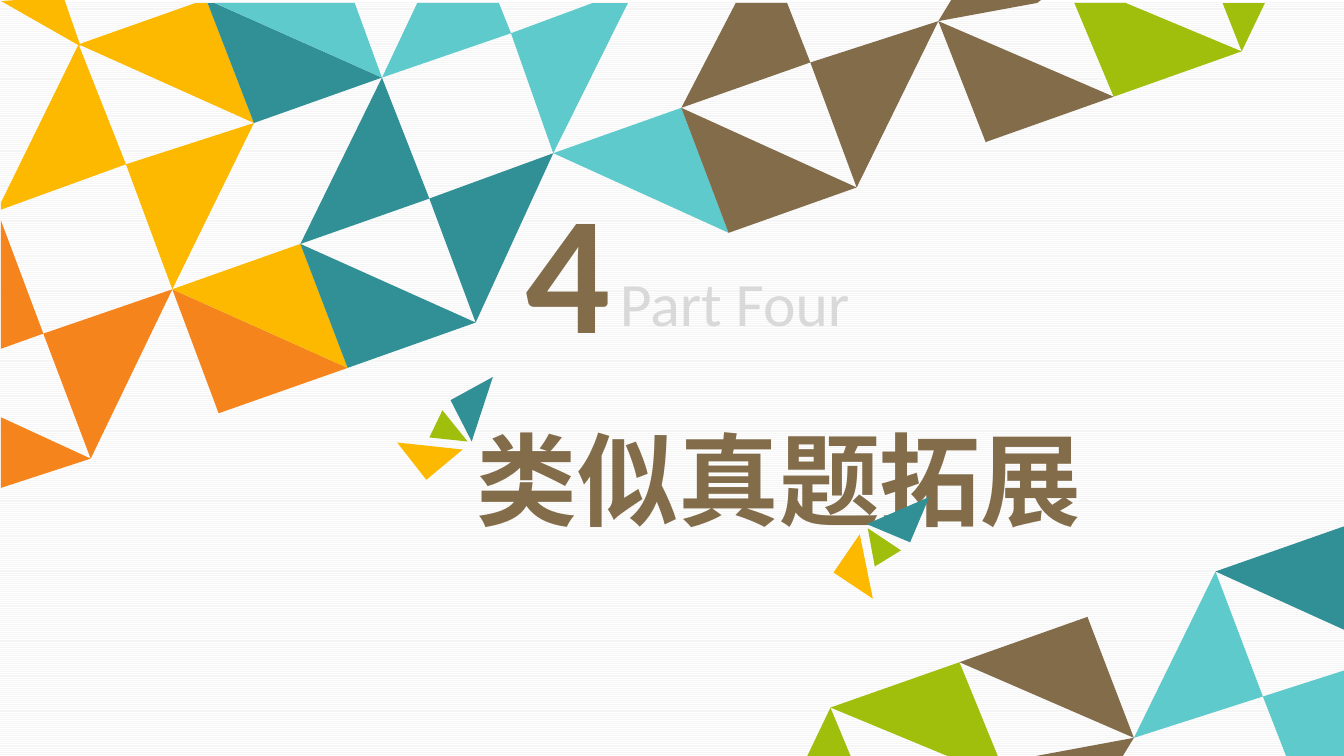
import pptx
import pptx.dml.color
import pptx.enum.dml
import pptx.enum.text
import pptx.util
from lxml import etree
from pptx.util import Cm

RGBColor = pptx.dml.color.RGBColor
ORANGE = RGBColor(0xF5, 0x84, 0x1C)
YELLOW = RGBColor(0xFD, 0xB9, 0x00)
TEAL = RGBColor(0x31, 0x90, 0x95)
AQUA = RGBColor(0x5F, 0xCA, 0xCB)
BROWN = RGBColor(0x82, 0x6C, 0x4A)
GREEN = RGBColor(0xA0, 0xBF, 0x0D)
PALE_GREY = RGBColor(0xD9, 0xD9, 0xD9)
STRIPE = RGBColor(0xF5, 0xF5, 0xF5)
WHITE = RGBColor(0xFF, 0xFF, 0xFF)

# Facet corners are whole steps of this grid
GRID_STEP = Cm(0.0254)

UPPER_MOSAIC = [
    (ORANGE, [(90, 455), (171, 287), (43, 331)]),
    (ORANGE, [(1, 414), (1, 484), (90, 455)]),
    (ORANGE, [(171, 287), (217, 410), (345, 365)]),
    (ORANGE, [(1, 346), (43, 331), (1, 219)]),
    (YELLOW, [(194, 3), (78, 44), (252, 122), (206, 3)]),
    (YELLOW, [(1, 201), (1, 208), (125, 163), (78, 44)]),
    (YELLOW, [(298, 242), (171, 287), (345, 365)]),
    (YELLOW, [(125, 163), (171, 287), (252, 122)]),
    (TEAL, [(472, 320), (549, 152), (426, 197)]),
    (TEAL, [(379, 77), (298, 242), (426, 197)]),
    (TEAL, [(206, 3), (252, 122), (379, 77), (213, 3)]),
    (TEAL, [(345, 365), (472, 320), (298, 242)]),
    (AQUA, [(213, 3), (379, 77), (352, 3)]),
    (AQUA, [(414, 3), (379, 77), (507, 33), (495, 3)]),
    (AQUA, [(588, 3), (507, 33), (549, 152), (623, 3)]),
    (AQUA, [(549, 152), (723, 231), (676, 107)]),
    (BROWN, [(723, 231), (850, 186), (676, 107)]),
    (BROWN, [(978, 141), (1105, 96), (931, 21)]),
    (BROWN, [(781, 3), (730, 3), (676, 107), (804, 62)]),
    (BROWN, [(850, 186), (931, 21), (804, 62)]),
    (GREEN, [(1117, 3), (1066, 3), (1105, 96), (1232, 51)]),
    (GREEN, [(1213, 3), (1232, 51), (1255, 3)]),
    (YELLOW, [(1, 1), (80, 46), (63, -3)]),
    (BROWN, [(1033, 0), (945, -2), (931, 21), (1029, 3)]),
]
LOWER_MOSAIC = [
    (TEAL, [(1334, 522), (1206, 567), (1334, 625)]),
    (BROWN, [(1079, 612), (952, 657), (1125, 732)]),
    (AQUA, [(1276, 750), (1335, 750), (1334, 665), (1253, 691)]),
    (AQUA, [(1206, 567), (1125, 732), (1253, 691)]),
    (GREEN, [(940, 750), (990, 750), (952, 657), (824, 702)]),
    (GREEN, [(844, 750), (824, 702), (801, 750)]),
    (BROWN, [(1024, 753), (1111, 755), (1125, 732), (1028, 750)]),
]
LEFT_SPARK = [
    (TEAL, [(489, 374), (468, 438), (447, 397)]),
    (GREEN, [(426, 434), (464, 438), (439, 407)]),
    (YELLOW, [(423, 476), (459, 446), (394, 439)]),
]
RIGHT_SPARK = [
    (TEAL, [(922, 493), (860, 520), (903, 538)]),
    (GREEN, [(868, 562), (861, 524), (894, 546)]),
    (YELLOW, [(827, 568), (853, 530), (866, 594)]),
]


def add_facets(slide, facets):
    """Draw one group of flat coloured facets."""
    mosaic = slide.shapes.add_group_shape()
    for colour, corners in facets:
        outline = mosaic.shapes.build_freeform(*corners[0], scale=GRID_STEP)
        outline.add_line_segments(corners[1:], close=True)
        facet = outline.convert_to_shape()
        facet.fill.solid()
        facet.fill.fore_color.rgb = colour
        facet.line.fill.background()
        facet.shadow.inherit = False


def write_line(frame, wording, size, colour, font_name, bold=False):
    """Write one unwrapped, left-aligned line of text."""
    frame.word_wrap = False
    frame.auto_size = pptx.enum.text.MSO_AUTO_SIZE.NONE
    frame.vertical_anchor = pptx.enum.text.MSO_ANCHOR.TOP
    line = frame.paragraphs[0]
    line.alignment = pptx.enum.text.PP_ALIGN.LEFT
    run = line.add_run()
    run.text = wording
    run.font.size = pptx.util.Pt(size)
    run.font.bold = bold
    run.font.color.rgb = colour
    run.font.name = font_name
    # East Asian characters need their own typeface entry
    east_asian = etree.SubElement(run.font._element, pptx.oxml.ns.qn("a:ea"))
    east_asian.set("typeface", font_name)


def add_label(slide, left, top, width, height, *wording_and_style, bold=False):
    label = slide.shapes.add_textbox(Cm(left), Cm(top), Cm(width), Cm(height))
    write_line(label.text_frame, *wording_and_style, bold=bold)


def main():
    deck = pptx.Presentation()
    deck.slide_width, deck.slide_height = Cm(33.87), Cm(19.05)
    slide = deck.slides.add_slide(deck.slide_layouts[5])

    # Striped background
    backdrop = slide.background.fill
    backdrop.patterned()
    backdrop.pattern = pptx.enum.dml.MSO_PATTERN.LIGHT_HORIZONTAL
    backdrop.fore_color.rgb = STRIPE
    backdrop.back_color.rgb = WHITE

    # Section title
    title = slide.shapes.title
    title.left, title.top = Cm(11.76), Cm(10.41)
    title.width, title.height = Cm(15.75), Cm(3.33)
    write_line(title.text_frame, "类似真题拓展", 72, BROWN, "Noto Sans CJK SC", bold=True)

    # Mosaics and section number
    add_facets(slide, UPPER_MOSAIC)
    add_label(slide, 13, 4.04, 2.64, 5.38, "4", 120, BROWN, "Calibri", bold=True)
    add_facets(slide, LOWER_MOSAIC)
    add_label(slide, 15.37, 6.55, 6.3, 2.13, "Part Four", 44, PALE_GREY, "Calibri")

    # Sparks around the title
    for spark in (LEFT_SPARK, RIGHT_SPARK):
        add_facets(slide, spark)

    deck.save("out.pptx")


if __name__ == "__main__":
    main()
